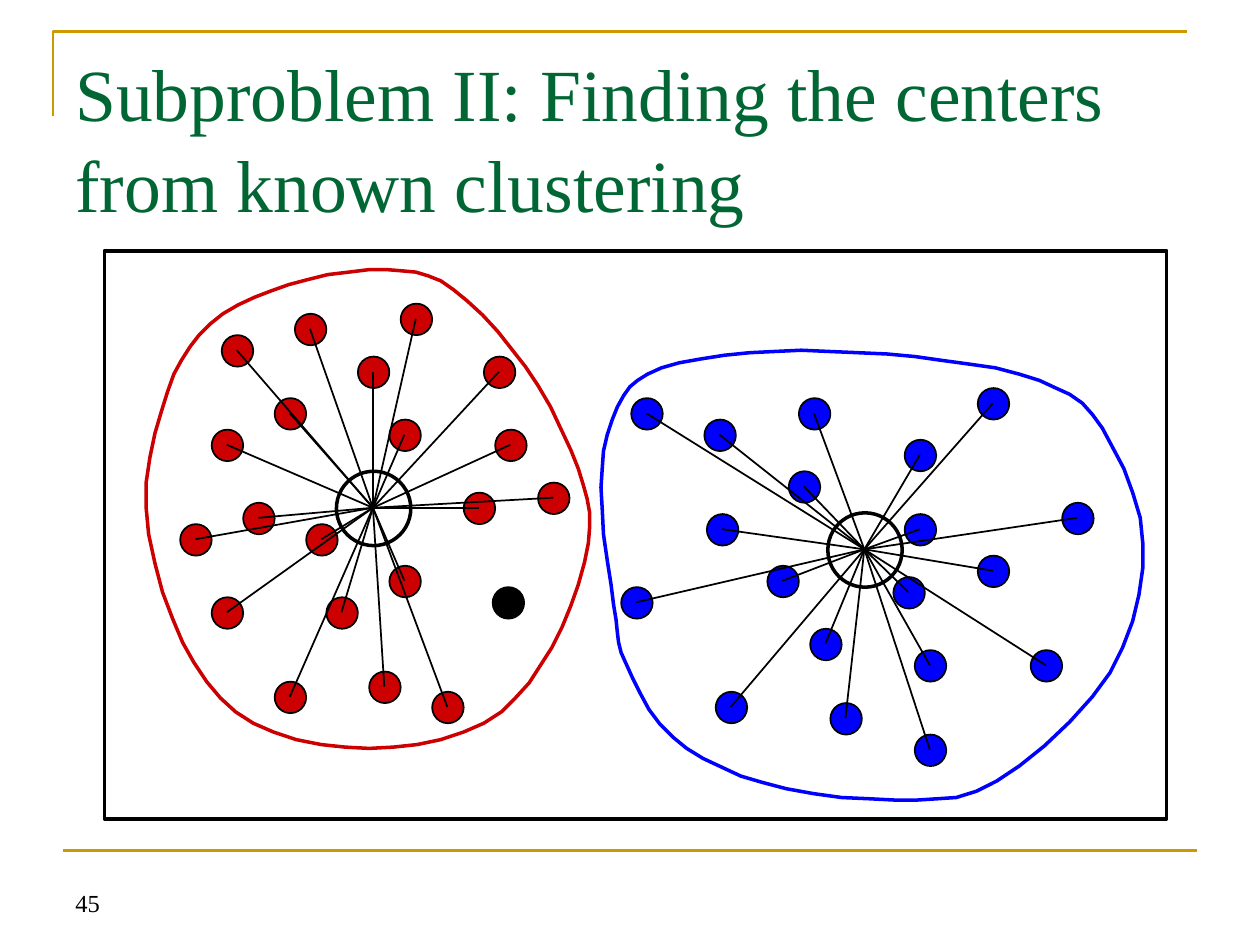
from lxml import etree
from pptx import Presentation
from pptx.dml.color import RGBColor
from pptx.enum.shapes import MSO_CONNECTOR, MSO_SHAPE
from pptx.enum.text import MSO_ANCHOR
from pptx.oxml.ns import qn
from pptx.util import Pt

PX = 9144  # 100 px to the inch
STRAIGHT = MSO_CONNECTOR.STRAIGHT
RECT, OVAL = MSO_SHAPE.RECTANGLE, MSO_SHAPE.OVAL
TOP, BOTTOM = MSO_ANCHOR.TOP, MSO_ANCHOR.BOTTOM
FONT = "Times New Roman"
COLORS = {"gold": "CC9900", "green": "006633", "black": "000000",
          "red": "CC0000", "blue": "0000FF"}
DOT, RING = 25, 59
STEPS = 5  # segments between two boundary points

prs = Presentation()
prs.slide_width, prs.slide_height = 1000 * PX, 750 * PX
s = prs.slides.add_slide(prs.slide_layouts[6])


def style(sp, line, width, fill=None):
    """Set outline and fill of a shape, without shadow."""
    sp.shadow.inherit = False
    sp.line.color.rgb = RGBColor.from_string(COLORS[line])
    sp.line.width = Pt(width)
    if fill:
        sp.fill.solid()
        sp.fill.fore_color.rgb = RGBColor.from_string(COLORS[fill])
    else:
        sp.fill.background()


def add_line(x1, y1, x2, y2, color, width):
    c = s.shapes.add_connector(STRAIGHT, x1 * PX, y1 * PX, x2 * PX, y2 * PX)
    c.line.color.rgb = RGBColor.from_string(COLORS[color])
    c.line.width = Pt(width)
    etree.SubElement(c._element.spPr, qn("a:effectLst"))


# Gold corner and footer rule
corner = s.shapes.build_freeform(42, 92, scale=PX)
corner.add_line_segments([(42, 25), (942, 25)], close=False)
style(corner.convert_to_shape(), "gold", 1.5)
add_line(50, 675, 950, 675, "gold", 1.5)

# Slide number and title
texts = [
    ("45", (50, 683, 233, 50), 14, "black", BOTTOM, 1.0),
    ("Subproblem II: Finding the centers from known clustering",
     (50, 30, 900, 125), 42, "green", TOP, 1.04),
]
for text, box, size, color, anchor, spacing in texts:
    tf = s.shapes.add_textbox(*(v * PX for v in box)).text_frame
    tf.word_wrap = True
    tf.vertical_anchor = anchor
    p = tf.paragraphs[0]
    p.line_spacing = spacing
    r = p.add_run()
    r.text = text
    r.font.name, r.font.size = FONT, Pt(size)
    r.font.color.rgb = RGBColor.from_string(COLORS[color])

frame = s.shapes.add_shape(RECT, 83 * PX, 199 * PX, 843 * PX, 451 * PX)
style(frame, "black", 2)

# Each cluster: its center, and left and top of each data point
clusters = {
    "red": ((296, 403), [
        (176, 266), (168, 341), (243, 416), (284, 283), (259, 474),
        (218, 316), (143, 416), (309, 333), (393, 341), (368, 391),
        (343, 549), (168, 474), (293, 533), (384, 283), (193, 399),
        (218, 541), (234, 249), (427, 383), (309, 449), (318, 241)]),
    "blue": ((686, 436), [
        (818, 516), (718, 408), (776, 308), (634, 316), (726, 583),
        (501, 316), (776, 441), (561, 408), (559, 333), (493, 466),
        (718, 349), (643, 499), (609, 449), (709, 458), (626, 374),
        (568, 549), (726, 516), (843, 399), (659, 558)]),
}
for color, (center, dots) in clusters.items():
    for x, y in dots:
        sp = s.shapes.add_shape(OVAL, x * PX, y * PX, DOT * PX, DOT * PX)
        style(sp, "black", 1, color)

# Cluster boundaries: closed Catmull-Rom curves through a few points
boundaries = {
    "red": [
        (116, 403), (133, 311), (167, 257), (229, 226), (307, 214),
        (360, 230), (417, 291), (459, 372), (467, 431), (438, 514),
        (384, 574), (293, 594), (201, 574), (145, 510)],
    "blue": [
        (487, 480), (477, 387), (490, 323), (525, 292), (615, 279),
        (726, 283), (825, 302), (875, 340), (907, 431), (881, 534),
        (791, 620), (710, 635), (605, 621), (534, 585), (497, 527)],
}
for color, points in boundaries.items():
    curve = []
    for i, b in enumerate(points):
        a, c, d = (points[(i + k) % len(points)] for k in (-1, 1, 2))
        for t in (step / STEPS for step in range(STEPS)):
            curve.append([
                q + t / 2 * (r - o + t * (2 * o - 5 * q + 4 * r - v
                                          + t * (3 * q - o - 3 * r + v)))
                for o, q, r, v in zip(a, b, c, d)])
    outline = s.shapes.build_freeform(*curve[0], scale=PX)
    outline.add_line_segments(curve[1:], close=True)
    style(outline.convert_to_shape(), color, 2)

# Unassigned point
sp = s.shapes.add_shape(OVAL, 391 * PX, 466 * PX, DOT * PX, DOT * PX)
style(sp, "black", 1, "black")

# Ring at each center, with a spoke from every data point
for (cx, cy), dots in clusters.values():
    sp = s.shapes.add_shape(OVAL, (cx - RING // 2) * PX,
                            (cy - RING // 2) * PX, RING * PX, RING * PX)
    style(sp, "black", 2)
    for x, y in dots:
        add_line(x + DOT // 2, y + DOT // 2, cx, cy, "black", 1)

prs.save("out.pptx")
